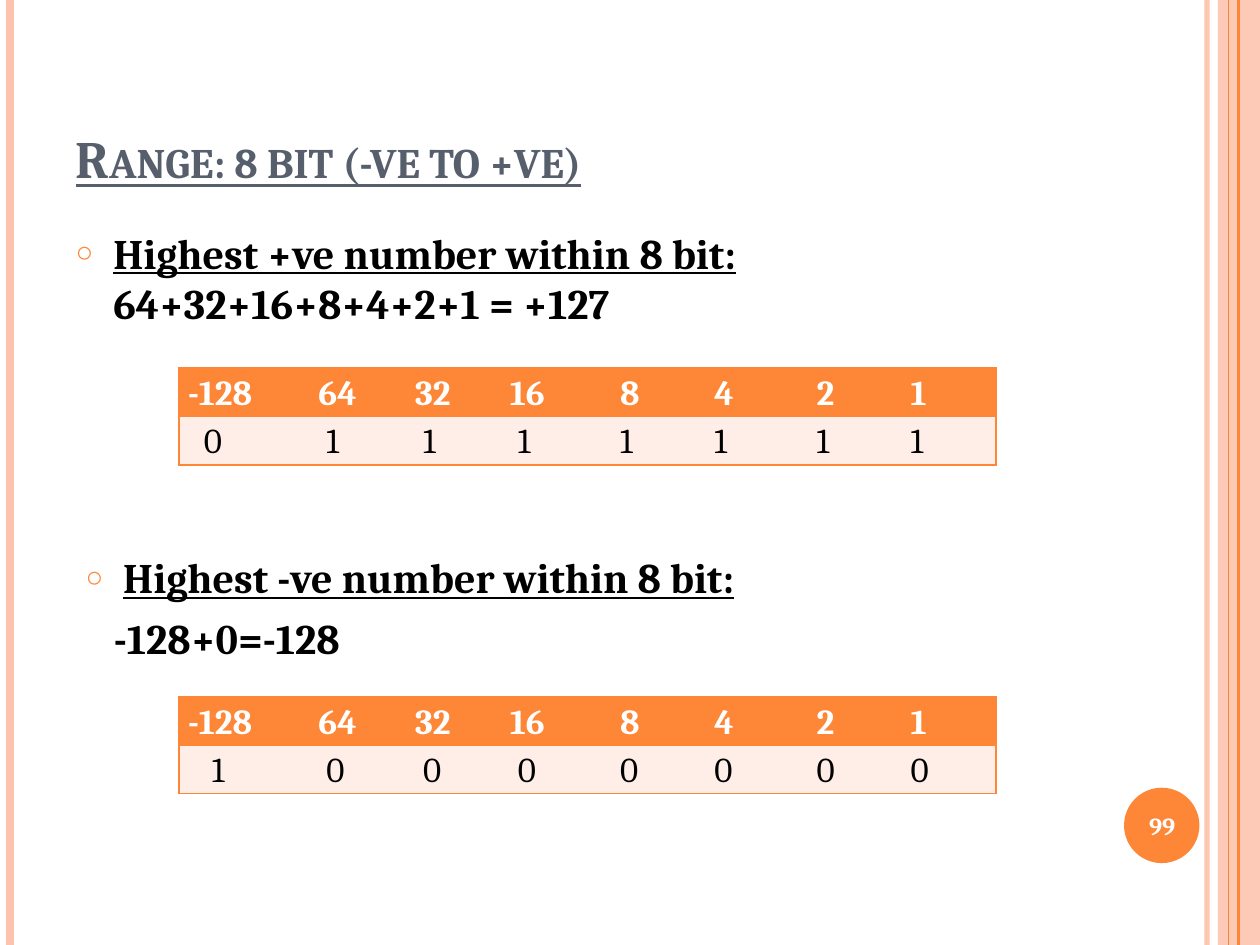
from lxml.etree import SubElement
from pptx import Presentation
from pptx.dml.color import RGBColor
from pptx.enum.shapes import MSO_CONNECTOR as Connector, MSO_SHAPE as Preset
from pptx.enum.text import MSO_ANCHOR as Anchor, MSO_AUTO_SIZE as AutoSize, PP_ALIGN as Align
from pptx.oxml import parse_xml
from pptx.oxml.ns import nsdecls, qn
from pptx.util import Cm, Pt

ORANGE, PEACH, PALE = "FE8637", "FEC3AE", "FFEDE8"
SLATE, BLACK, WHITE = "575F6D", "000000", "FFFFFF"


def paint(fill, color):
    fill.solid()
    fill.fore_color.rgb = RGBColor.from_string(color)


def write(para, text, size=24, color=BLACK, bold=True, underline=False, small_caps=False):
    span = para.add_run()
    span.text = text
    font = span.font
    font.name, font.size = "Cambria", Pt(size)
    font.bold, font.underline = bold, underline
    paint(font.fill, color)
    if small_caps:
        span._r.get_or_add_rPr().set("cap", "small")


deck = Presentation()
deck.slide_width, deck.slide_height = Cm(25.4), Cm(19.05)
page = deck.slides.add_slide(deck.slide_layouts[3])
title, positive, negative = page.placeholders

rules = []
for x, color, width in [(24.33, PEACH, 3), (0.2, PEACH, 4.5), (24.97, ORANGE, 1.5), (24.77, ORANGE, 0.75)]:
    rule = page.shapes.add_connector(Connector.STRAIGHT, Cm(x), Cm(0), Cm(x), Cm(19.05))
    rule.line.width = Pt(width)
    paint(rule.line.fill, color)
    SubElement(rule._element.spPr, qn("a:effectLst"))
    rules.append(rule)

band = page.shapes.add_shape(Preset.RECTANGLE, Cm(24.55), Cm(0), Cm(0.85), Cm(19.05))
disc = page.shapes.add_shape(Preset.OVAL, Cm(22.66), Cm(15.88), Cm(1.52), Cm(1.52))
for shape, color in [(band, PEACH), (disc, ORANGE)]:
    shape.shadow.inherit = False
    paint(shape.fill, color)
    shape.line.fill.background()
rules[0]._element.addprevious(band._element)

for shape, opacity in [(rules[0], 93), (band, 87)]:
    tint = next(shape._element.iter(qn("a:srgbClr")))
    SubElement(tint, qn("a:alpha")).set("val", str(opacity * 1000))

title.left, title.top, title.width, title.height = Cm(1.27), Cm(0.76), Cm(20.75), Cm(3.18)
title.text_frame.vertical_anchor = Anchor.BOTTOM
title.text_frame.auto_size = AutoSize.NONE
heading = title.text_frame.paragraphs[0]
heading.alignment = Align.LEFT
write(heading, "Range: 8 bit (-ve to +ve)", size=30, color=SLATE, underline=True, small_caps=True)

for box, left, top, text in [
    (positive, 1.27, 4.45, "Highest +ve number within 8 bit:"),
    (negative, 1.47, 11, "Highest -ve number within 8 bit:"),
]:
    box.left, box.top, box.width, box.height = Cm(left), Cm(top), Cm(20.75), Cm(2.74)
    box.text_frame.auto_size = AutoSize.NONE
    para = box.text_frame.paragraphs[0]
    props = para._p.get_or_add_pPr()
    props.set("marL", str(Cm(0.76)))
    props.set("indent", str(-Cm(0.76)))
    bullet_color = SubElement(props, qn("a:buClr"))
    SubElement(bullet_color, qn("a:srgbClr")).set("val", ORANGE)
    SubElement(props, qn("a:buSzPct")).set("val", "70000")
    SubElement(props, qn("a:buChar")).set("char", "○")
    para.space_before = Pt(0)
    write(para, text, underline=True)

write(positive.text_frame.paragraphs[0], " 64+32+16+8+4+2+1 = +127")
para = negative.text_frame.add_paragraph()
props = para._p.get_or_add_pPr()
props.set("marL", str(Cm(0.57)))
props.set("indent", "0")
SubElement(props, qn("a:buNone"))
para.space_before = Pt(6)
write(para, "-128+0=-128")

number = page.shapes.add_textbox(Cm(22.58), Cm(15.93), Cm(1.7), Cm(1.45))
number.text_frame.word_wrap = True
number.text_frame.vertical_anchor = Anchor.MIDDLE
para = number.text_frame.paragraphs[0]
para.alignment = Align.CENTER
write(para, "99", size=14, color=WHITE)

weights = ["-128", "64", "32", "16", "8", "4", "2", "1"]
widths = [2.31, 2.11, 1.75] + [2.06] * 5
weight_steps = [0, 2, 1, 2, 3, 2, 2, 1]
bit_steps = [3, 2, 3, 3, 2, 2, 1]
for top, bits, first_step in [(7.42, "01111111", 2), (14.05, "10000000", 3)]:
    frame = page.shapes.add_table(2, 8, Cm(3.61), Cm(top), Cm(sum(widths)), Cm(1.86))
    table = frame.table
    table._tbl.tblPr.find(qn("a:tableStyleId")).text = "{2D5ABB26-0587-4C30-8999-92F81FD0307C}"
    table.first_row = table.horz_banding = False
    for column, width in zip(table.columns, widths):
        column.width = Cm(width)
    rows = [
        (weights, weight_steps, ORANGE, WHITE, True),
        (bits, [first_step] + bit_steps, PALE, BLACK, False),
    ]
    for r, (values, steps, fill, color, bold) in enumerate(rows):
        table.rows[r].height = Cm(0.93)
        for c, (value, step) in enumerate(zip(values, steps)):
            cell = table.cell(r, c)
            cell.margin_left, cell.margin_right = Cm(0.18 + 0.16 * step), Cm(0.18)
            cell.margin_top = cell.margin_bottom = Cm(0)
            paint(cell.fill, fill)
            para = cell.text_frame.paragraphs[0]
            para.line_spacing = 1.15
            write(para, value, size=20, color=color, bold=bold)
            sides = ["lnL"] * (c == 0) + ["lnR"] * (c == 7) + ["lnT", "lnB"]
            for place, side in enumerate(sides):
                cell._tc.get_or_add_tcPr().insert(place, parse_xml(
                    f'<a:{side} {nsdecls("a")} w="{Pt(1)}"><a:solidFill>'
                    f'<a:srgbClr val="{ORANGE}"/></a:solidFill></a:{side}>'))

deck.save("out.pptx")
